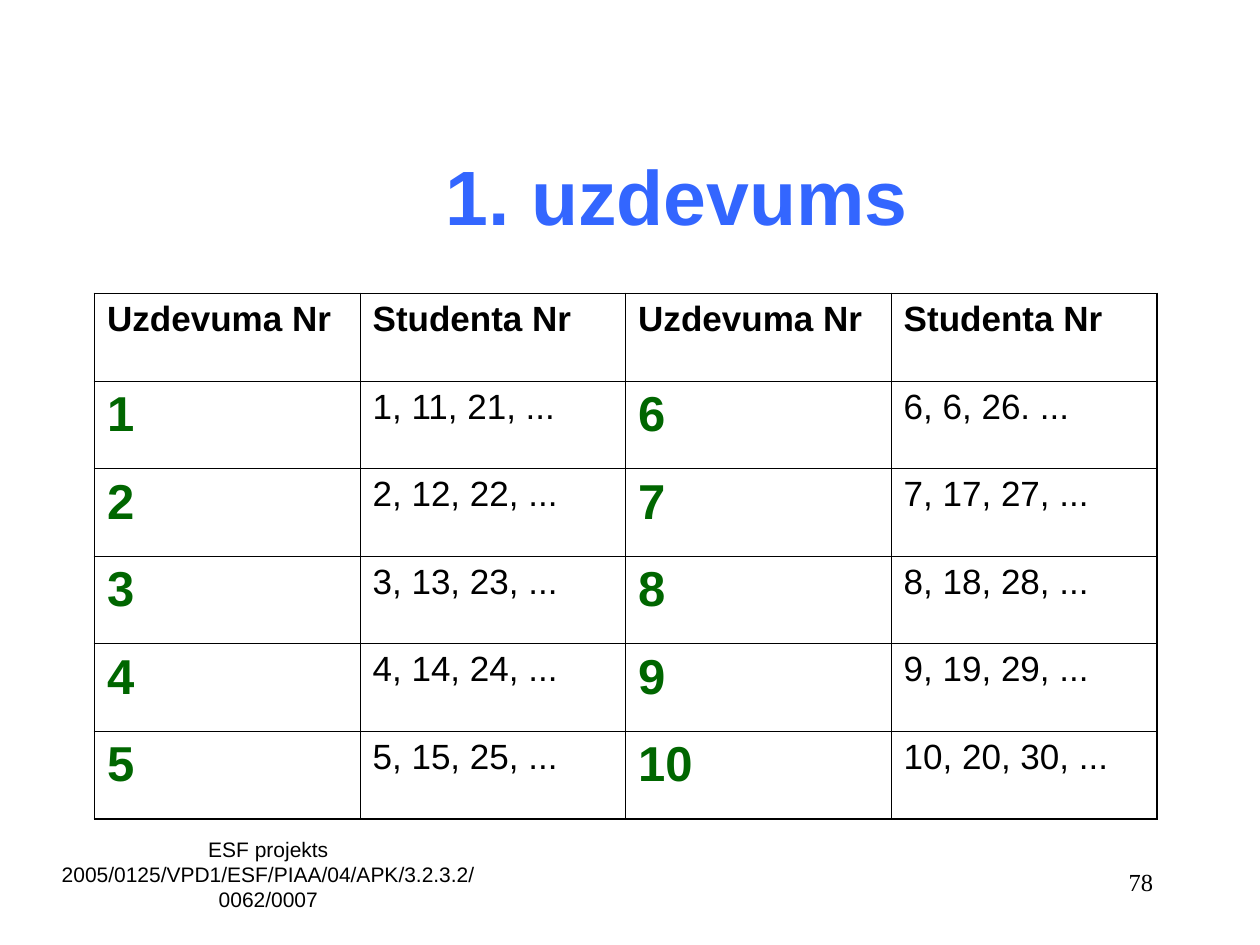
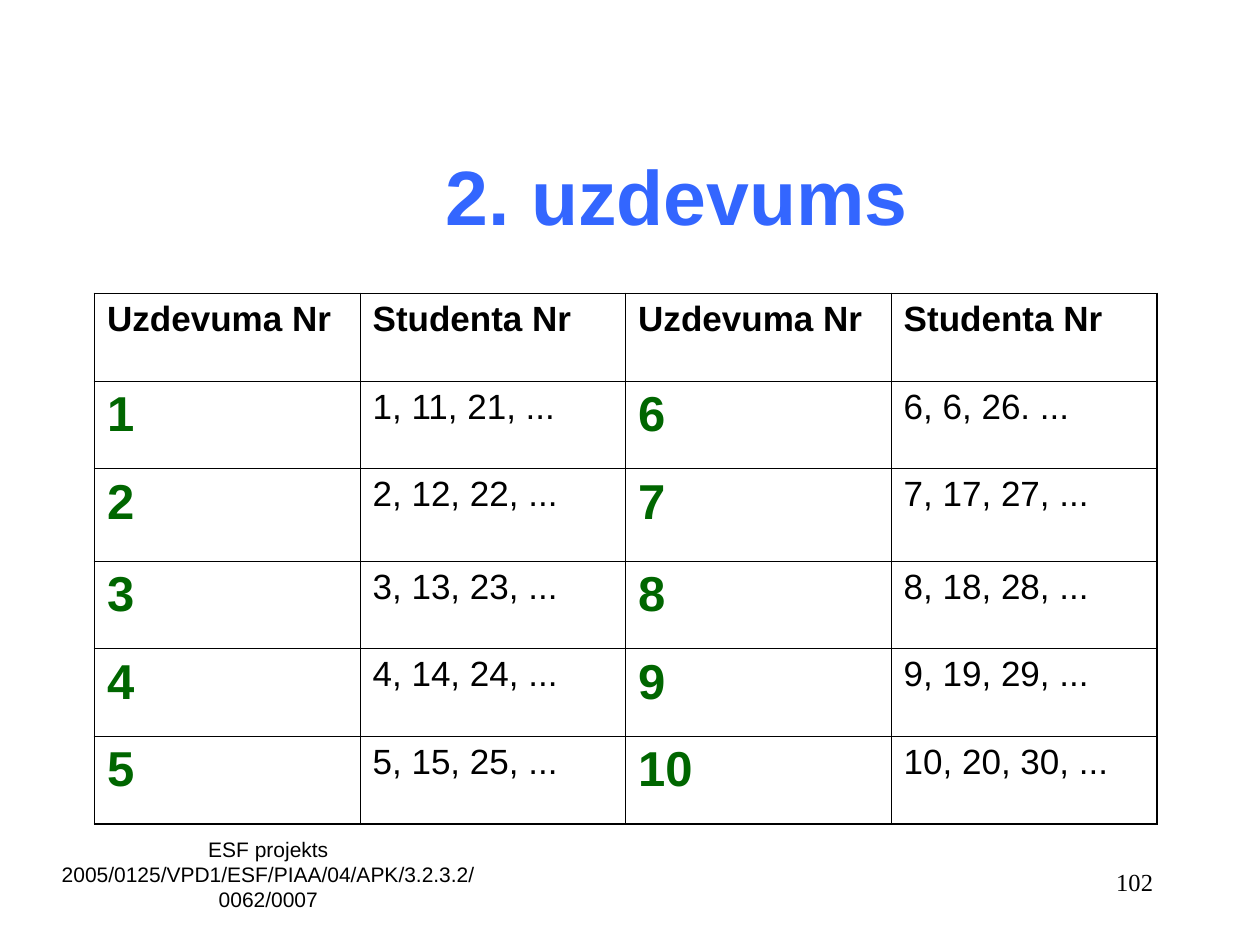
from dataclasses import dataclass

from lxml.etree import SubElement
from pptx import Presentation
from pptx.dml.color import RGBColor
from pptx.enum.text import MSO_ANCHOR as Anchor, PP_ALIGN as Align
from pptx.oxml.ns import qn
from pptx.slide import Slide
from pptx.table import _Cell as Cell
from pptx.text.text import TextFrame
from pptx.util import Inches, Pt

COLORS = {"title": "3366FF", "text": "000000", "number": "006600", "line": "000000"}
FOOTER = "ESF projekts\v2005/0125/VPD1/ESF/PIAA/04/APK/3.2.3.2/0062/0007"
HEADS = ["Uzdevuma Nr", "Studenta Nr"] * 2
TASKS = 5  # tasks in each half of the table
ROWS = TASKS + 1
WIDTH, HEIGHT = 8.43, 4.17
THIN, THICK = Pt(0.45), Pt(1.08)


@dataclass
class Page:
    title: str
    number: int
    extra: float = 0  # added height of the row for task 2


@dataclass
class Box:
    left: float
    top: float
    width: float
    height: float


TITLE_BOX = Box(1.5, 0.92, 7.75, 1.25)
FOOTER_BOX = Box(0.35, 6.59, 3.56, 0.71)
NUMBER_BOX = Box(8.08, 6.83, 1.17, 0.5)
PAGES = [Page("1. uzdevums", 78), Page("2. uzdevums", 102, extra=0.04)]


def write(frame: TextFrame, text: str, *, size: int, color: str = "text",
          font: str = "Arial", bold: bool = False, align: Align = Align.LEFT) -> None:
    para = frame.paragraphs[0]
    para.text = text
    para.alignment = align
    para.font.name = font
    para.font.size = Pt(size)
    para.font.bold = bold
    para.font.color.rgb = RGBColor.from_string(COLORS[color])


def add_box(slide: Slide, box: Box, anchor: Anchor = Anchor.TOP) -> TextFrame:
    frame = slide.shapes.add_textbox(
        Inches(box.left), Inches(box.top), Inches(box.width), Inches(box.height)
    ).text_frame
    frame.word_wrap = True
    frame.vertical_anchor = anchor
    return frame


def students(task: int) -> str:
    if task == 6:
        return "6, 6, 26. ..."
    return f"{task}, {task + 10}, {task + 20}, ..."


def set_edges(cell: Cell, row: int, col: int) -> None:
    """Draw thick lines on the outer edges of the table and thin ones inside."""
    outer = {"L": col == 0, "R": col == len(HEADS) - 1, "T": row == 0, "B": row == ROWS - 1}
    props = cell._tc.get_or_add_tcPr()
    for place, (side, edge) in enumerate(outer.items()):
        line = SubElement(props, qn(f"a:ln{side}"), w=str(THICK if edge else THIN))
        fill = SubElement(line, qn("a:solidFill"))
        SubElement(fill, qn("a:srgbClr"), val=COLORS["line"])
        props.insert(place, line)


def fill_cell(cell: Cell, row: int, col: int) -> None:
    task = row + TASKS * (col // 2)
    if row == 0:
        write(cell.text_frame, HEADS[col], size=20, bold=True)
    elif col % 2 == 0:
        write(cell.text_frame, str(task), size=28, color="number", bold=True)
    else:
        write(cell.text_frame, students(task), size=20)
    cell.fill.background()
    set_edges(cell, row, col)


def add_tasks(slide: Slide, extra: float) -> None:
    table = slide.shapes.add_table(
        ROWS, len(HEADS), Inches(0.75), Inches(2.33), Inches(WIDTH), Inches(HEIGHT + extra)
    ).table
    table.first_row = table.horz_banding = False
    for row in table.rows:
        row.height = Inches(HEIGHT / ROWS)
    table.rows[2].height += Inches(extra)
    for row in range(ROWS):
        for col in range(len(HEADS)):
            fill_cell(table.cell(row, col), row, col)


def add_page(deck: Presentation, page: Page) -> None:
    slide = deck.slides.add_slide(deck.slide_layouts[6])
    write(add_box(slide, FOOTER_BOX), FOOTER, size=12, align=Align.CENTER)
    write(add_box(slide, TITLE_BOX, Anchor.MIDDLE), page.title,
          size=44, color="title", bold=True, align=Align.CENTER)
    add_tasks(slide, page.extra)
    write(add_box(slide, NUMBER_BOX), str(page.number),
          size=14, font="Times New Roman", align=Align.RIGHT)


def main() -> None:
    deck = Presentation()
    deck.slide_width, deck.slide_height = Inches(10), Inches(7.5)
    for page in PAGES:
        add_page(deck, page)
    deck.save("out.pptx")


if __name__ == "__main__":
    main()
